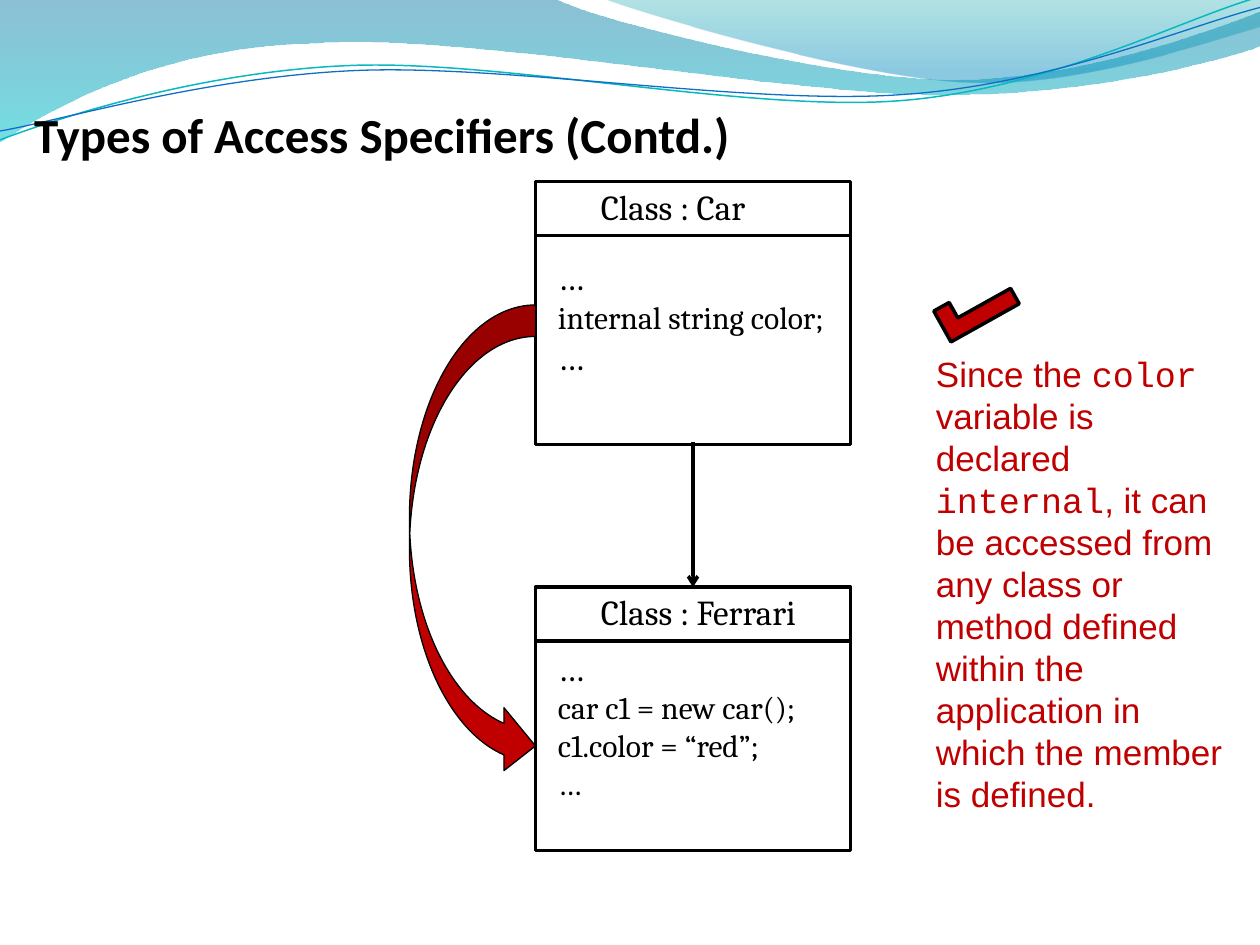
from dataclasses import dataclass
from math import cos, radians, sin

from lxml import etree
from pptx import Presentation
from pptx.dml.color import RGBColor
from pptx.enum.shapes import MSO_CONNECTOR, MSO_SHAPE
from pptx.enum.text import MSO_ANCHOR, PP_ALIGN
from pptx.oxml.ns import qn
from pptx.util import Inches, Pt

RECTANGLE = MSO_SHAPE.RECTANGLE
CURVED_ARROW = MSO_SHAPE.CURVED_RIGHT_ARROW
CORNER = MSO_SHAPE.CORNER
STRAIGHT = MSO_CONNECTOR.STRAIGHT
LEFT = PP_ALIGN.LEFT
TOP, MIDDLE = MSO_ANCHOR.TOP, MSO_ANCHOR.MIDDLE


@dataclass(frozen=True)
class Theme:
    ink: str = "000000"
    accent: str = "C00000"
    teal_line: str = "0AB8BF"
    blue_line: str = "0F6FC6"
    # Gradient stops: position, colour, opacity in percent
    wide_wave: tuple = ((0, "0074A1", 45), (1, "00C6CF", 55))
    right_wave: tuple = ((0, "00A1A9", 30), (0.8, "008BBF", 45))
    title_font: str = "Calibri"
    class_font: str = "Cambria"
    note_font: str = "Arial"
    code_font: str = "Courier New"
    title_size: int = 28
    text_size: int = 20
    code_size: int = 18


def turn(point, center, degrees):
    """Turn a point clockwise about a center."""
    dx, dy = point[0] - center[0], point[1] - center[1]
    c, s = cos(radians(degrees)), sin(radians(degrees))
    return center[0] + dx * c - dy * s, center[1] + dx * s + dy * c


class SlideBuilder:
    def __init__(self, slide, theme):
        self.shapes = slide.shapes
        self.theme = theme

    def add_run(self, paragraph, text, font, size, color, bold=False):
        run = paragraph.add_run()
        run.text = text
        run.font.name, run.font.size, run.font.bold = font, Pt(size), bold
        run.font.color.rgb = RGBColor.from_string(color)

    def title(self, text, left, top, width, height):
        title = self.shapes.title
        title.left, title.top = Inches(left), Inches(top)
        title.width, title.height = Inches(width), Inches(height)
        title.text_frame.vertical_anchor = MIDDLE
        paragraph = title.text_frame.paragraphs[0]
        paragraph.alignment = LEFT
        self.add_run(paragraph, text, self.theme.title_font, self.theme.title_size,
                     self.theme.ink, bold=True)
        # Bring the title in front of the waves
        self.shapes._spTree.append(title._element)

    def text(self, paragraphs, left, top, width, height, color):
        """Each paragraph is a list of (text, font, size) runs."""
        box = self.shapes.add_textbox(Inches(left), Inches(top), Inches(width), Inches(height))
        frame = box.text_frame
        frame.word_wrap = True
        frame.vertical_anchor = TOP
        for index, runs in enumerate(paragraphs):
            paragraph = frame.add_paragraph() if index else frame.paragraphs[0]
            for text, font, size in runs:
                self.add_run(paragraph, text, font, size, color)

    def shape(self, kind, left, top, width, height, fill=None, line_width=2, rotation=0):
        shape = self.shapes.add_shape(kind, Inches(left), Inches(top),
                                      Inches(width), Inches(height))
        shape.shadow.inherit = False
        shape.rotation = rotation
        if fill:
            shape.fill.solid()
            shape.fill.fore_color.rgb = RGBColor.from_string(fill)
        else:
            shape.fill.background()
        shape.line.color.rgb = RGBColor.from_string(self.theme.ink)
        shape.line.width = Pt(line_width)

    def outline(self, start, segments, close):
        """A segment holds one end point, or the three points of a Bezier curve."""
        points = [tuple(map(Inches, point)) for segment in segments for point in segment]
        freeform = self.shapes.build_freeform(*map(Inches, start), scale=1.0)
        freeform.add_line_segments(points, close=close)
        shape = freeform.convert_to_shape()
        shape.shadow.inherit = False
        # Join the points of each Bezier curve
        steps = iter(list(shape._element.iter(qn("a:lnTo"))))
        for segment in segments:
            parts = [next(steps) for _ in segment]
            if len(parts) == 3:
                curve = etree.Element(qn("a:cubicBezTo"))
                parts[0].addprevious(curve)
                for part in parts:
                    curve.append(part[0])
                    part.getparent().remove(part)
        return shape

    def wave(self, start, segments, stops):
        shape = self.outline(start, segments, close=True)
        shape.line.fill.background()
        shape.fill.gradient()
        shape.fill.gradient_angle = 270
        for stop, (position, color, _) in zip(shape.fill.gradient_stops, stops):
            stop.position = position
            stop.color.rgb = RGBColor.from_string(color)
        for element, (_, _, opacity) in zip(shape._element.iter(qn("a:srgbClr")), stops):
            etree.SubElement(element, qn("a:alpha"), val=str(opacity * 1000))

    def wave_line(self, start, segments, center, color, width, tilt=2.7):
        """A curve drawn level, then tilted back by the shape's rotation."""
        level = [[turn(point, center, tilt) for point in segment] for segment in segments]
        shape = self.outline(turn(start, center, tilt), level, close=False)
        shape.rotation = 360 - tilt
        shape.fill.background()
        shape.line.color.rgb = RGBColor.from_string(color)
        shape.line.width = Pt(width)

    def arrow(self, start, end):
        connector = self.shapes.add_connector(STRAIGHT, *map(Inches, start + end))
        connector.line.color.rgb = RGBColor.from_string(self.theme.ink)
        connector.line.width = Pt(2)
        etree.SubElement(connector.line._get_or_add_ln(), qn("a:tailEnd"), type="arrow")
        etree.SubElement(connector._element.spPr, qn("a:effectLst"))

    def class_box(self, name, lines, top, text_offset, text_height):
        """A class diagram box: header with the name, body with code lines."""
        theme, left, width, header, body = self.theme, 4.25, 2.5, 0.43, 1.66
        self.text([[(name, theme.class_font, theme.text_size)]],
                  left + 0.42, top - 0.02, 1.83, 0.46, theme.ink)
        self.shape(RECTANGLE, left, top, width, header)
        self.shape(RECTANGLE, left, top + header, width, body)
        self.text([[(line, theme.class_font, size)] for line, size in lines],
                  left + 0.08, top + text_offset, width, text_height, theme.ink)


def main():
    presentation = Presentation()
    presentation.slide_width, presentation.slide_height = Inches(10), Inches(7.5)
    theme = Theme()
    slide = presentation.slides.add_slide(presentation.slide_layouts[5])
    builder = SlideBuilder(slide, theme)

    # Wave decoration along the top
    builder.wave((0, 0), [
        [(4.4, -0.01)],
        [(4.76, 0.17), (6.64, 0.63), (7.58, 0.63)],
        [(8.53, 0.63), (9.58, 0.26), (10, 0.09)],
        [(10.01, 0.36)],
        [(9.83, 0.44), (8.7, 0.76), (7.46, 0.75)],
        [(6.22, 0.75), (3.82, 0.28), (2.57, 0.34)],
        [(1.29, 0.36), (0.46, 0.83), (-0.01, 1.13)]], theme.wide_wave)
    builder.wave((4.79, -0.01), [
        [(5.09, 0.11), (6.82, 0.62), (7.69, 0.65)],
        [(8.56, 0.69), (9.61, 0.32), (10, 0.21)],
        [(10, 0)]], theme.right_wave)
    builder.wave_line((0, 1.11), [
        [(0.48, 0.93), (1.58, 0.57), (2.77, 0.52)],
        [(3.95, 0.47), (5.93, 0.89), (7.13, 0.8)],
        [(8.33, 0.71), (9.38, 0.15), (9.98, -0.02)]], (4.99, 0.58), theme.teal_line, 0.85)
    builder.wave_line((0, 1.04), [
        [(0.47, 0.96), (1.64, 0.61), (2.83, 0.56)],
        [(4.03, 0.51), (5.97, 0.84), (7.17, 0.75)],
        [(8.36, 0.67), (9.41, 0.21), (10, 0.06)]], (5, 0.59), theme.blue_line, 0.75)

    builder.title("Types of Access Specifiers (Contd.)", 0.17, 0.78, 9.58, 0.57)

    # Class diagram
    large, small = theme.text_size, theme.code_size
    builder.arrow((5.5, 3.51), (5.5, 4.66))
    builder.class_box("Class : Car",
                      [("…", large), ("internal string color;", small), ("…", large)],
                      1.44, 0.54, 1.41)
    builder.class_box("Class : Ferrari",
                      [("…", large), ("car c1 = new car();", small),
                       ("c1.color = “red”;", small), ("…", small)],
                      4.66, 0.42, 1.68)
    builder.shape(CURVED_ARROW, 3.25, 2.42, 1, 3.75, theme.accent, 0.75)

    # Explanation with check mark
    plain, code = (theme.note_font, large), (theme.code_font, large)
    builder.text([[("Since the ", *plain), ("color", *code),
                   (" variable is declared ", *plain), ("internal", *code),
                   (", it can be accessed from any class or method defined within "
                    "the application in which the member is defined.", *plain)]],
                 7.33, 2.75, 2.5, 4.14, theme.accent)
    builder.shape(CORNER, 7.44, 2.3, 0.62, 0.28, theme.accent, rotation=330.8)

    presentation.save("out.pptx")


if __name__ == "__main__":
    main()
